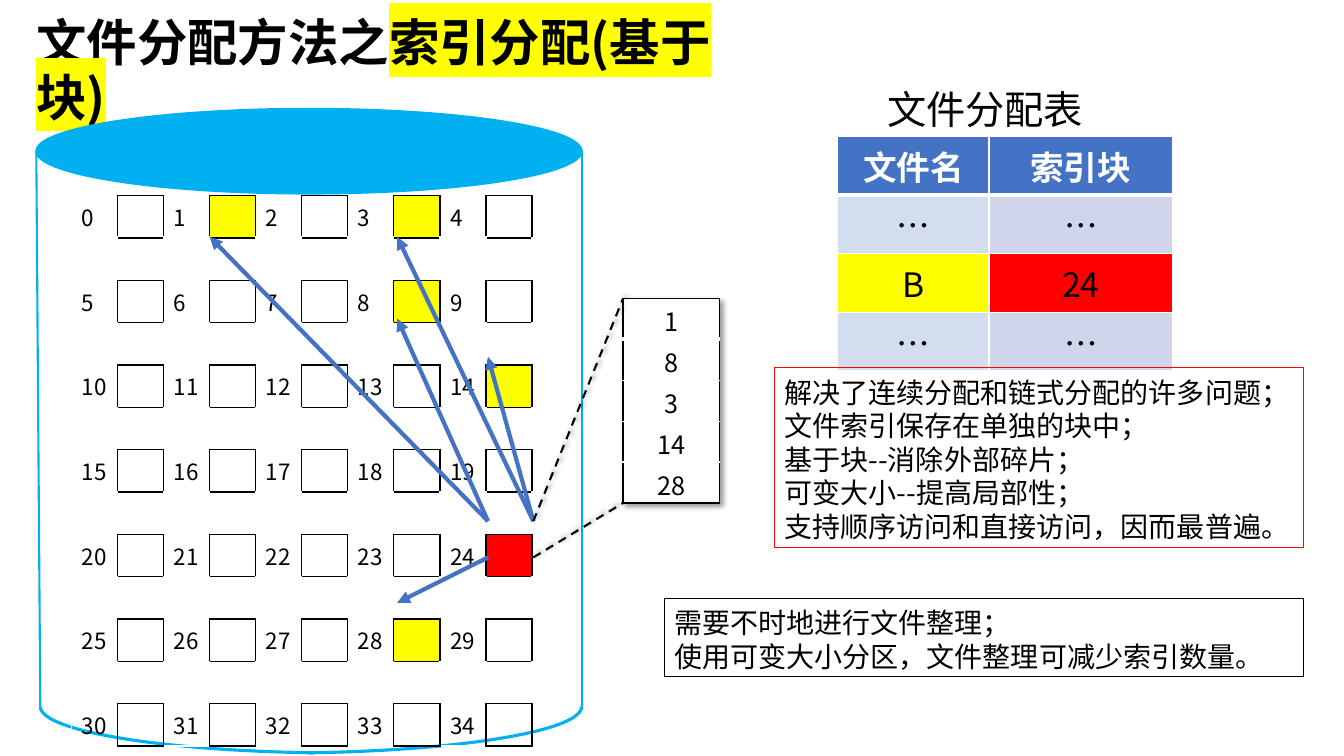
import dataclasses

import lxml.etree
import pptx
import pptx.dml.color
import pptx.enum.dml
import pptx.enum.shapes
import pptx.enum.text
import pptx.oxml.ns
import pptx.util

Inches = pptx.util.Inches
Pt = pptx.util.Pt
qn = pptx.oxml.ns.qn
SHAPES = pptx.enum.shapes.MSO_SHAPE
ALIGN = pptx.enum.text.PP_ALIGN
ANCHOR = pptx.enum.text.MSO_ANCHOR


@dataclasses.dataclass(frozen=True)
class Theme:
    font: str = "Noto Sans CJK SC"
    black: str = "000000"
    white: str = "FFFFFF"
    yellow: str = "FFFF00"
    red: str = "FF0000"
    disk: str = "00B0F0"
    accent: str = "4472C4"
    band_left: str = "D2DEEF"
    band_right: str = "CFD5EA"
    title: int = 36
    caption: int = 28
    entry: int = 24
    note: int = 20
    index: int = 18
    block: int = 16


THEME = Theme()
NO_STYLE = "{2D5ABB26-0587-4C30-8999-92F81FD0307C}"


def rgb(color):
    return pptx.dml.color.RGBColor.from_string(color)


def child(parent, tag, **attributes):
    return lxml.etree.SubElement(parent, qn(tag), attributes)


def add_run(paragraph, text, size, color=THEME.black, bold=False, highlight=None):
    run = paragraph.add_run()
    run.text = text
    run.font.size = Pt(size)
    run.font.bold = bold
    run.font.color.rgb = rgb(color)
    properties = run.font._element
    if highlight:
        child(child(properties, "a:highlight"), "a:srgbClr", val=highlight)
    for tag in ("a:latin", "a:ea"):
        child(properties, tag, typeface=THEME.font)


def set_line(shape, color, width):
    shape.line.color.rgb = rgb(color)
    shape.line.width = Pt(width)


def add_effects(parent, shadow_angle=None, position=None):
    effects = child(parent, "a:effectLst")
    if position is not None:
        parent.insert(position, effects)
    if shadow_angle is not None:
        shadow = child(effects, "a:outerShdw", blurRad=str(Pt(4)), dist=str(Pt(3)),
                       dir=str(shadow_angle * 60000), rotWithShape="0")
        color = child(shadow, "a:srgbClr", val=THEME.black)
        child(color, "a:alpha", val="40000")


def add_line(slide, start, end, color, width, arrow=False, dashed=False):
    connector = slide.shapes.add_connector(
        pptx.enum.shapes.MSO_CONNECTOR.STRAIGHT, *map(Inches, (*start, *end)))
    set_line(connector, color, width)
    if dashed:
        connector.line.dash_style = pptx.enum.dml.MSO_LINE.DASH
    properties = connector.element.spPr
    if arrow:
        child(properties.find(qn("a:ln")), "a:tailEnd", type="triangle")
    add_effects(properties, 315 if dashed else None)


def add_outline(slide, kind, box, color, width):
    shape = slide.shapes.add_shape(kind, *map(Inches, box))
    shape.shadow.inherit = False
    shape.fill.background()
    set_line(shape, color, width)
    return shape


def add_plain_table(slide, box, rows, columns):
    table = slide.shapes.add_table(rows, columns, *map(Inches, box)).table
    table.first_row = table.horz_banding = False
    table._tbl.tblPr.find(qn("a:tableStyleId")).text = NO_STYLE
    for row in table.rows:
        row.height = Inches(box[3] / rows)
    return table


def format_cell(cell, fill, left, right, top, bottom, bottom_width=1):
    if fill:
        cell.fill.solid()
        cell.fill.fore_color.rgb = rgb(fill)
    else:
        cell.fill.background()
    properties = cell._tc.get_or_add_tcPr()
    sides = (("a:lnL", left, 1), ("a:lnR", right, 1), ("a:lnT", top, 1), ("a:lnB", bottom, bottom_width))
    for position, (tag, color, width) in enumerate(sides):
        border = child(properties, tag, w=str(Pt(width)))
        child(child(border, "a:solidFill"), "a:srgbClr", val=color)
        properties.insert(position, border)


def write_centered(cell, text, size, color=THEME.black, bold=False):
    cell.vertical_anchor = ANCHOR.MIDDLE
    paragraph = cell.text_frame.paragraphs[0]
    paragraph.alignment = ALIGN.CENTER
    add_run(paragraph, text, size, color, bold)


def write_lines(shape, lines, size):
    frame = shape.text_frame
    frame.word_wrap = True
    frame.vertical_anchor = ANCHOR.TOP
    frame.margin_top = Inches(0.07)
    for number, line in enumerate(lines):
        paragraph = frame.add_paragraph() if number else frame.paragraphs[0]
        paragraph.alignment = ALIGN.LEFT
        paragraph.line_spacing = Pt(size * 1.2)
        add_run(paragraph, line, size)


def place_title(slide, box):
    title = slide.shapes.title
    title.left, title.top, title.width, title.height = map(Inches, box)
    frame = title.text_frame
    frame.auto_size = pptx.enum.text.MSO_AUTO_SIZE.NONE
    frame.word_wrap = True
    frame.vertical_anchor = ANCHOR.MIDDLE
    frame.margin_top, frame.margin_bottom = Inches(0.1), 0
    paragraph = frame.paragraphs[0]
    paragraph.alignment = ALIGN.LEFT
    paragraph.line_spacing = Pt(39)
    add_run(paragraph, "文件分配方法之", THEME.title, bold=True)
    add_run(paragraph, "索引分配(基于块)", THEME.title, bold=True, highlight=THEME.yellow)


def draw_disk(slide, left, top, width, height):
    lid = add_outline(slide, SHAPES.OVAL, (left, top, width, 0.84), THEME.disk, 1.5)
    lid.fill.solid()
    lid.fill.fore_color.rgb = rgb(THEME.disk)
    for offset, flips in ((-0.56, ("flipV",)), (0.04, ("flipH", "flipV"))):
        box = (left + offset, top + height - 0.92, 5.97, 0.92)
        rim = add_outline(slide, SHAPES.ARC, box, THEME.disk, 2.25)
        rim.adjustments[0], rim.adjustments[1] = 180.25, 0
        for flip in flips:
            rim.element.spPr.find(qn("a:xfrm")).set(flip, "1")
    upper, lower, right = top + 0.42, top + height - 0.46, left + width
    add_line(slide, (left, upper), (left + 0.04, lower), THEME.disk, 1.5)
    add_line(slide, (right, lower), (right, upper), THEME.disk, 1.5)


def draw_blocks(slide, box):
    fills = dict.fromkeys((1, 3, 8, 14, 28), THEME.yellow) | {24: THEME.red}
    black, white = THEME.black, THEME.white
    table = add_plain_table(slide, box, 13, 10)
    for row in range(13):
        for column in range(10):
            cell = table.cell(row, column)
            number = row // 2 * 5 + column // 2
            is_box, is_gap = column % 2 == 1, row % 2 == 1
            left = white if is_gap or column == 0 else black
            right = white if is_gap else black
            edge = black if is_box else white
            fill = fills.get(number) if is_box and not is_gap else None
            format_cell(cell, fill, left, right, edge, edge, 3 if row == 0 and not is_box else 1)
            if not is_box and not is_gap:
                add_run(cell.text_frame.paragraphs[0], str(number), THEME.block)


def draw_pointers(slide, left, top):
    pointers = (((4.13, 3.23), (1.37, 0.41)), ((4.58, 3.23), (3.23, 0.41)),
                ((4.58, 3.23), (4.13, 1.6)), ((4.13, 3.59), (3.23, 4.04)),
                ((4.13, 3.23), (3.23, 1.22)))
    for start, end in pointers:
        add_line(slide, (left + start[0], top + start[1]), (left + end[0], top + end[1]),
                 THEME.accent, 3, arrow=True)


def draw_allocation(slide, left, top):
    caption = slide.shapes.add_textbox(*map(Inches, (left + 0.39, top - 0.57, 2.17, 0.57)))
    write_lines(caption, ["文件分配表"], THEME.caption)
    bands = (THEME.band_left, THEME.band_right)
    rows = ((("文件名", "索引块"), (THEME.accent, THEME.accent)), (("…", "…"), bands),
            (("B", "24"), (THEME.yellow, THEME.red)), (("…", "…"), bands))
    table = add_plain_table(slide, (left, top, 3.32, 2.33), 4, 2)
    table.columns[0].width, table.columns[1].width = Inches(1.5), Inches(1.82)
    for row, (texts, fills) in enumerate(rows):
        header = row == 0
        for column, (text, fill) in enumerate(zip(texts, fills)):
            cell = table.cell(row, column)
            format_cell(cell, fill, *[THEME.white] * 4, 3 if header else 1)
            write_centered(cell, text, THEME.entry, THEME.white if header else THEME.black, header)


def draw_index_block(slide, left, top, width, height):
    entries = ("1", "8", "3", "14", "28")
    black, white = THEME.black, THEME.white
    table = add_plain_table(slide, (left, top, width, height), len(entries), 1)
    add_effects(table._tbl.tblPr, 45, position=0)
    for row, entry in enumerate(entries):
        cell = table.cell(row, 0)
        cell.margin_top, cell.margin_bottom = Inches(0.04), 0
        format_cell(cell, white, black, black, white if row else black,
                    black if row == len(entries) - 1 else white, 1 if row else 3)
        write_centered(cell, entry, THEME.index)
    for source, target in ((5.17, top), (5.53, top + height)):
        add_line(slide, (left - 0.89, source), (left, target), black, 1.5, dashed=True)


def draw_note(slide, box, color, lines):
    write_lines(add_outline(slide, SHAPES.RECTANGLE, box, color, 0.75), lines, THEME.note)


def main():
    presentation = pptx.Presentation()
    presentation.slide_width, presentation.slide_height = Inches(13.33), Inches(7.5)
    slide = presentation.slides.add_slide(presentation.slide_layouts[5])
    place_title(slide, (0.26, 0.14, 7.53, 1.05))
    draw_disk(slide, 0.36, 1.08, 5.41, 6.39)
    draw_blocks(slide, (0.71, 1.94, 4.57, 5.46))
    draw_allocation(slide, 8.31, 1.35)
    draw_pointers(slide, 0.71, 1.94)
    draw_note(slide, (7.68, 3.65, 5.25, 1.78), THEME.red, [
        "解决了连续分配和链式分配的许多问题；", "文件索引保存在单独的块中；",
        "基于块--消除外部碎片；", "可变大小--提高局部性；", "支持顺序访问和直接访问，因而最普遍。"])
    draw_note(slide, (6.59, 5.94, 6.34, 0.77), THEME.black, [
        "需要不时地进行文件整理；", "使用可变大小分区，文件整理可减少索引数量。"])
    draw_index_block(slide, 6.18, 2.96, 0.96, 2.03)
    presentation.save("out.pptx")


if __name__ == "__main__":
    main()
